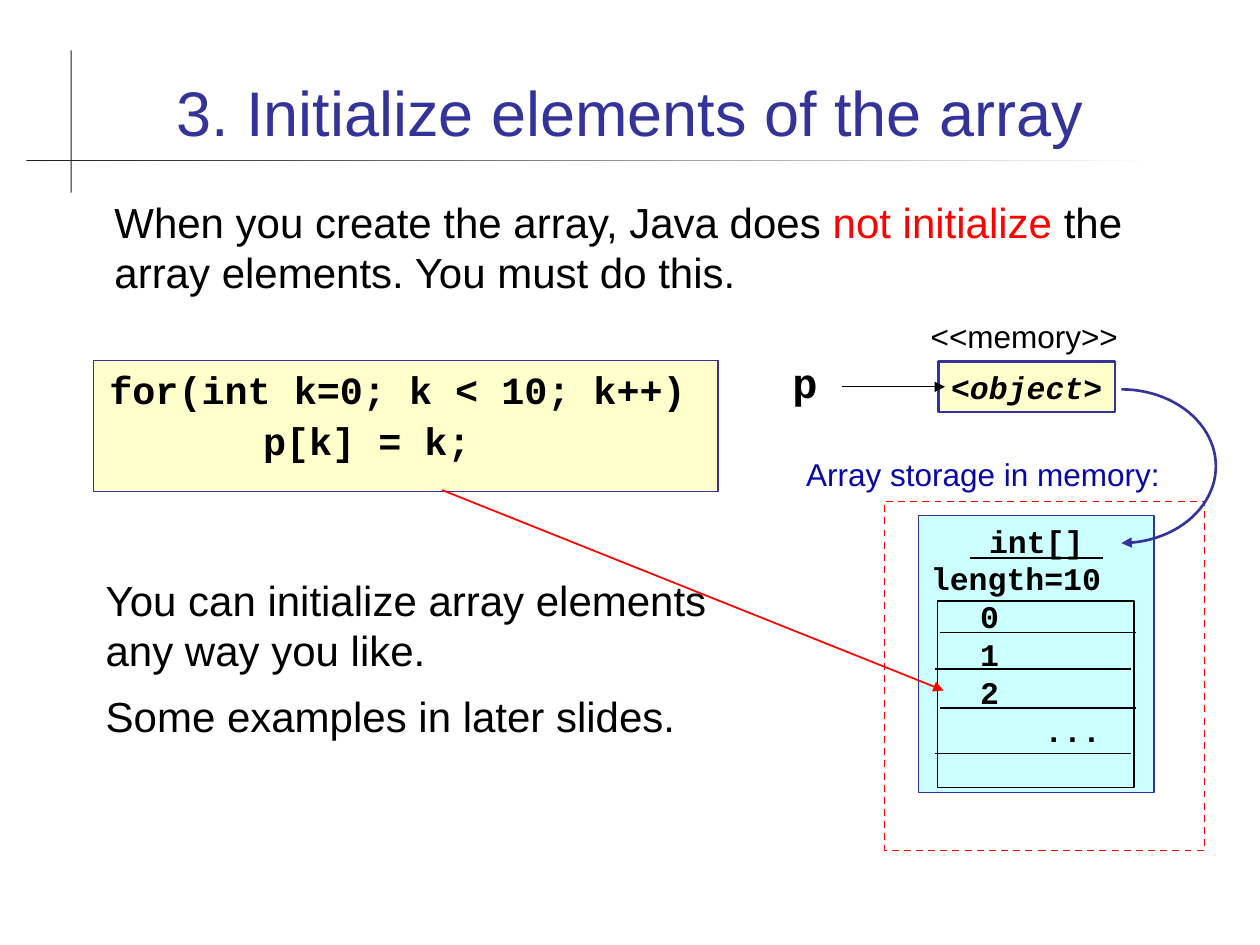
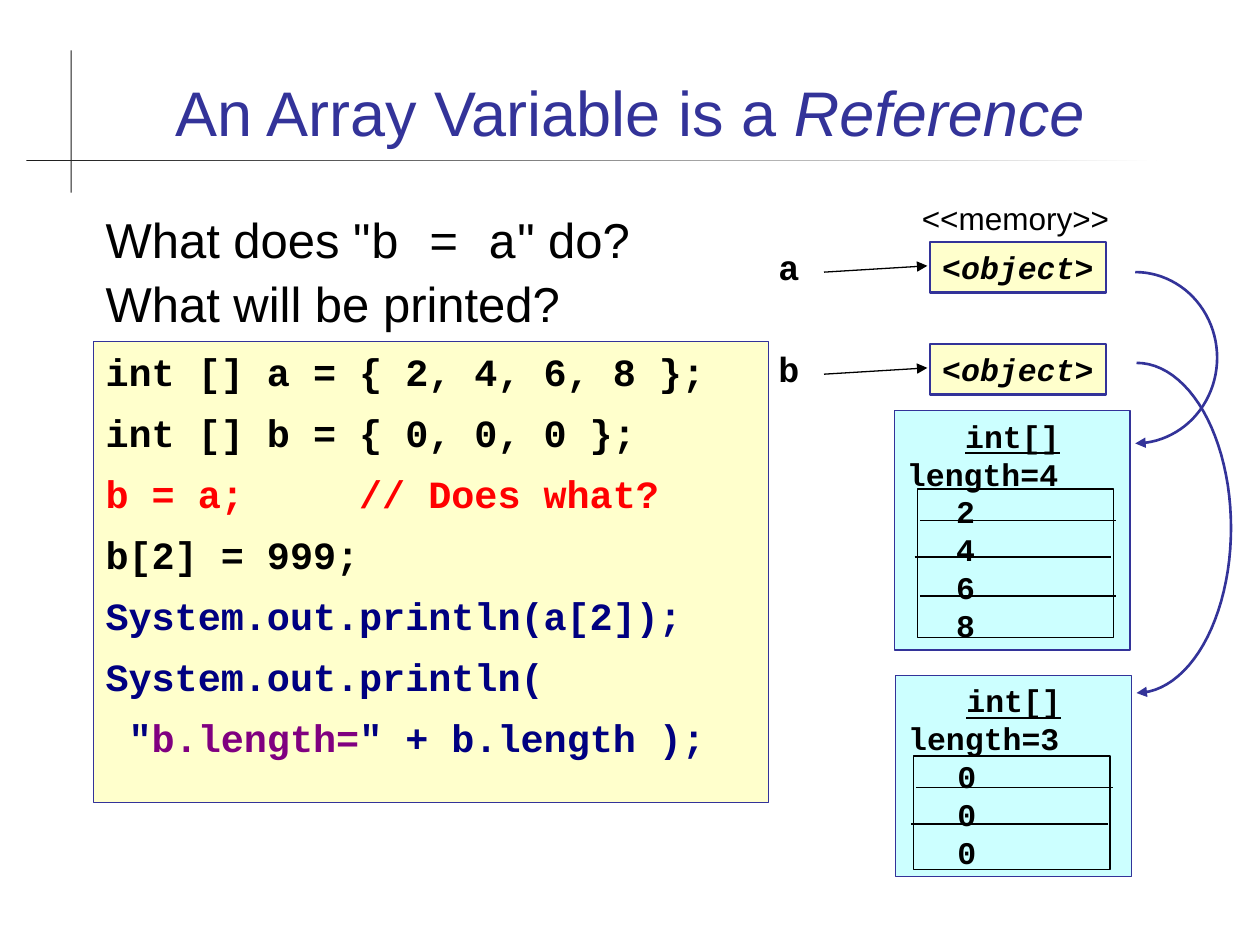
import math

from lxml import etree
from pptx import Presentation
from pptx import util as u
from pptx.dml.color import RGBColor
from pptx.enum import dml, shapes, text
from pptx.oxml import ns

# Shared look
BLACK, RED, WHITE = "000000", "FF0000", "FFFFFF"
INDIGO, NAVY, PURPLE, CAPTION_BLUE = "333399", "000080", "800080", "0707A9"
CREAM, AQUA, RULE_GREY = "FFFFCC", "CCFFFF", "1C1C1C"
SANS = {"name": "Arial"}
MONO = {"name": "Courier New", "bold": True}
VALUE_INDENT = 0.39
ROW_LINES = (0.25, 0.54, 0.85, 1.21)
ROW_WIDTH = 1.56
OBJECT = [["<", ("object", {"italic": True}), ">"]]


def rgb(hex_colour):
    return RGBColor.from_string(hex_colour)


def inches(*lengths):
    return [u.Inches(length) for length in lengths]


# Text
def style_font(font, style):
    for key, value in style.items():
        if key == "color":
            font.color.rgb = rgb(value)
        else:
            setattr(font, key, u.Pt(value) if key == "size" else value)


def write(shape, paragraphs, style, space=0, wrap=True, indents=None, centred=(),
          anchor=text.MSO_ANCHOR.TOP):
    """Fill a shape; a paragraph is a string or a list of strings and (string, style)."""
    frame = shape.text_frame
    layout = {"word_wrap": wrap, "vertical_anchor": anchor,
              "margin_left": u.Inches(0.1), "margin_right": u.Inches(0.1),
              "margin_top": u.Inches(0.05), "margin_bottom": u.Inches(0.05)}
    for key, value in layout.items():
        setattr(frame, key, value)
    for index, runs in enumerate(paragraphs):
        paragraph = frame.add_paragraph() if index else frame.paragraphs[0]
        paragraph.alignment = text.PP_ALIGN.CENTER if index in centred else text.PP_ALIGN.LEFT
        if index:
            paragraph.space_before = u.Pt(space)
        if indents and indents[index]:
            paragraph._p.get_or_add_pPr().set("marL", str(u.Inches(indents[index])))
        for part in [runs] if isinstance(runs, str) else runs:
            words, extra = (part, {}) if isinstance(part, str) else part
            run = paragraph.add_run()
            run.text = words
            style_font(run.font, {"color": BLACK, **style, **extra})


def label(slide, box, paragraphs, style, **layout):
    write(slide.shapes.add_textbox(*inches(*box)), paragraphs, style, **layout)


# Boxes and lines
def panel(slide, box, fill=None, line=None, width=0.75, dash=None):
    shape = slide.shapes.add_shape(shapes.MSO_SHAPE.RECTANGLE, *inches(*box))
    shape.shadow.inherit = False
    if fill:
        shape.fill.solid()
        shape.fill.fore_color.rgb = rgb(fill)
    else:
        shape.fill.background()
    if line:
        shape.line.color.rgb = rgb(line)
        shape.line.width = u.Pt(width)
        shape.line.dash_style = dash
    else:
        shape.line.fill.background()
    return shape


def add_arrowhead(shape):
    etree.SubElement(shape.line._get_or_add_ln(), ns.qn("a:tailEnd"), type="triangle")


def line(slide, start, end, colour=BLACK, width=0.75, arrow=False):
    connector = slide.shapes.add_connector(
        shapes.MSO_CONNECTOR.STRAIGHT, *inches(*start, *end))
    connector.line.color.rgb = rgb(colour)
    connector.line.width = u.Pt(width)
    if arrow:
        add_arrowhead(connector)
    etree.SubElement(connector._element.spPr, ns.qn("a:effectLst"))


def reference_arc(slide, left, top, bottom, reach, steps=48):
    """Half ellipse bulging to the right, with an arrowhead at its lower end."""
    middle, radius = (top + bottom) / 2, (bottom - top) / 2
    angles = [math.pi * step / steps for step in range(steps + 1)]
    points = [inches(left + reach * math.sin(a), middle - radius * math.cos(a))
              for a in angles]
    builder = slide.shapes.build_freeform(*points[0])
    builder.add_line_segments(points[1:], close=False)
    arc = builder.convert_to_shape()
    arc.shadow.inherit = False
    arc.fill.background()
    arc.line.color.rgb = rgb(INDIGO)
    arc.line.width = u.Pt(1.5)
    add_arrowhead(arc)


# Parts of the memory diagrams
def code_box(slide, box, lines, **layout):
    write(panel(slide, box, CREAM, INDIGO), lines, {**MONO, "size": 22}, **layout)


def memory_caption(slide, left, top):
    label(slide, (left, top, 2.26, 0.4), ["<<memory>>"], {**SANS, "size": 18},
          centred=(0,))


def variable(slide, name, name_box, size, arrow_start, arrow_end, object_at):
    label(slide, name_box, [name], {**MONO, "size": size}, wrap=False)
    write(panel(slide, (*object_at, 1.4, 0.4), CREAM, INDIGO, 1.5), OBJECT,
          {**MONO, "size": 18}, wrap=False)
    line(slide, arrow_start, arrow_end, arrow=True)


def array_storage(slide, box, heading, length, values, cells, dividers):
    """Array object: heading, length and values, over a grid of cells."""
    rows = [[(heading, {"underline": True})], f"length={length}", *values]
    indents = [0, 0] + [0.9 if value == "..." else VALUE_INDENT for value in values]
    write(panel(slide, box, AQUA, INDIGO), rows, {**MONO, "size": 18},
          indents=indents, centred=(0,))
    left, top, height = cells
    panel(slide, (left, top, ROW_WIDTH, height), line=BLACK)
    for index, offset in enumerate(ROW_LINES[:dividers]):
        start = left + 0.02 * (-1) ** index
        line(slide, (start, top + offset), (start + ROW_WIDTH, top + offset))


def titled_slide(prs, title):
    slide = prs.slides.add_slide(prs.slide_layouts[6])
    panel(slide, (0.56, 0.4, 0.01, 1.13), RULE_GREY)
    rule = panel(slide, (0.21, 1.27, 8.97, 0.01), RULE_GREY)
    rule.fill.gradient()
    rule.fill.gradient_angle = 0
    for stop, colour in zip(rule.fill.gradient_stops, (RULE_GREY, WHITE)):
        stop.color.rgb = rgb(colour)
    label(slide, (0.67, 0.28, 8.66, 0.95), [title],
          {**SANS, "size": 36, "color": INDIGO}, centred=(0,),
          anchor=text.MSO_ANCHOR.BOTTOM)
    return slide


# Slides
def initialize_slide(prs):
    slide = titled_slide(prs, "3. Initialize elements of the array")
    body = {**SANS, "size": 24}
    code_box(slide, (0.74, 2.86, 4.96, 1.04),
             ["for(int k=0; k < 10; k++)", "p[k] = k;"],
             space=2.5, indents=(0.03, 1.25))
    label(slide, (0.81, 1.51, 8.39, 0.9),
          [["When you create the array, Java does ", ("not initialize", {"color": RED}),
            " the array elements. You must do this."]], body)
    label(slide, (0.74, 4.51, 5.25, 1.43),
          ["You can initialize array elements any way you like.",
           "Some examples in later slides."], body, space=9)

    # Memory diagram
    array_storage(slide, (7.29, 4.09, 1.87, 2.2), " int[] ", 10,
                  ["0", "1", "2", "..."], (7.44, 4.77, 1.48), 4)
    label(slide, (6.3, 3.56, 3.3, 0.4), ["Array storage in memory:"],
          {**SANS, "size": 18, "color": CAPTION_BLUE})
    panel(slide, (7.02, 3.98, 2.54, 2.77), line=RED, width=1, dash=dml.MSO_LINE.DASH)
    memory_caption(slide, 7, 2.47)
    variable(slide, "p", (6.19, 2.78, 0.4, 0.5), 24, (6.68, 3.07), (7.5, 3.07), (7.45, 2.87))
    line(slide, (3.51, 3.89), (7.49, 5.48), RED, 1, arrow=True)
    reference_arc(slide, 8.9, 3.09, 4.31, 0.75)


def reference_slide(prs):
    slide = titled_slide(
        prs, ["An Array Variable is a ", ("Reference", {"italic": True})])
    navy = {"color": NAVY}
    code_box(slide, (0.74, 2.71, 5.36, 3.66),
             ["int [] a = { 2, 4, 6, 8 };",
              "int [] b = { 0, 0, 0 };",
              [("b = a;     // Does what?", {"color": RED})],
              "b[2] = 999;",
              [("System.out.println(a[2]);", navy)],
              [("System.out.println(", navy)],
              [(' "', navy), ("b.length=", {"color": PURPLE}), ('" + b.length );', navy)]],
             space=8.5)
    label(slide, (0.74, 1.61, 5.36, 1.08),
          [['What does "', ("b = a", {"name": MONO["name"]}), '" do?'],
           "What will be printed?"], {**SANS, "size": 28}, space=3)

    # Memory diagram
    memory_caption(slide, 6.93, 1.53)
    for name, top in (("a", 1.9), ("b", 2.71)):
        variable(slide, name, (6.08, top, 0.36, 0.44), 20, (6.54, top + 0.26),
                 (7.36, top + 0.21), (7.38, top + 0.02))
    array_storage(slide, (7.1, 3.26, 1.87, 1.9), "int[]", 4, "2468", (7.28, 3.88, 1.18), 3)
    array_storage(slide, (7.11, 5.36, 1.87, 1.6), "int[]", 3, "000", (7.25, 6, 0.9), 2)
    reference_arc(slide, 9.01, 2.16, 3.52, 0.65)
    reference_arc(slide, 9.02, 2.88, 5.5, 0.75)


def main():
    prs = Presentation()
    prs.slide_width, prs.slide_height = inches(10, 7.5)
    initialize_slide(prs)
    reference_slide(prs)
    prs.save("out.pptx")


if __name__ == "__main__":
    main()
